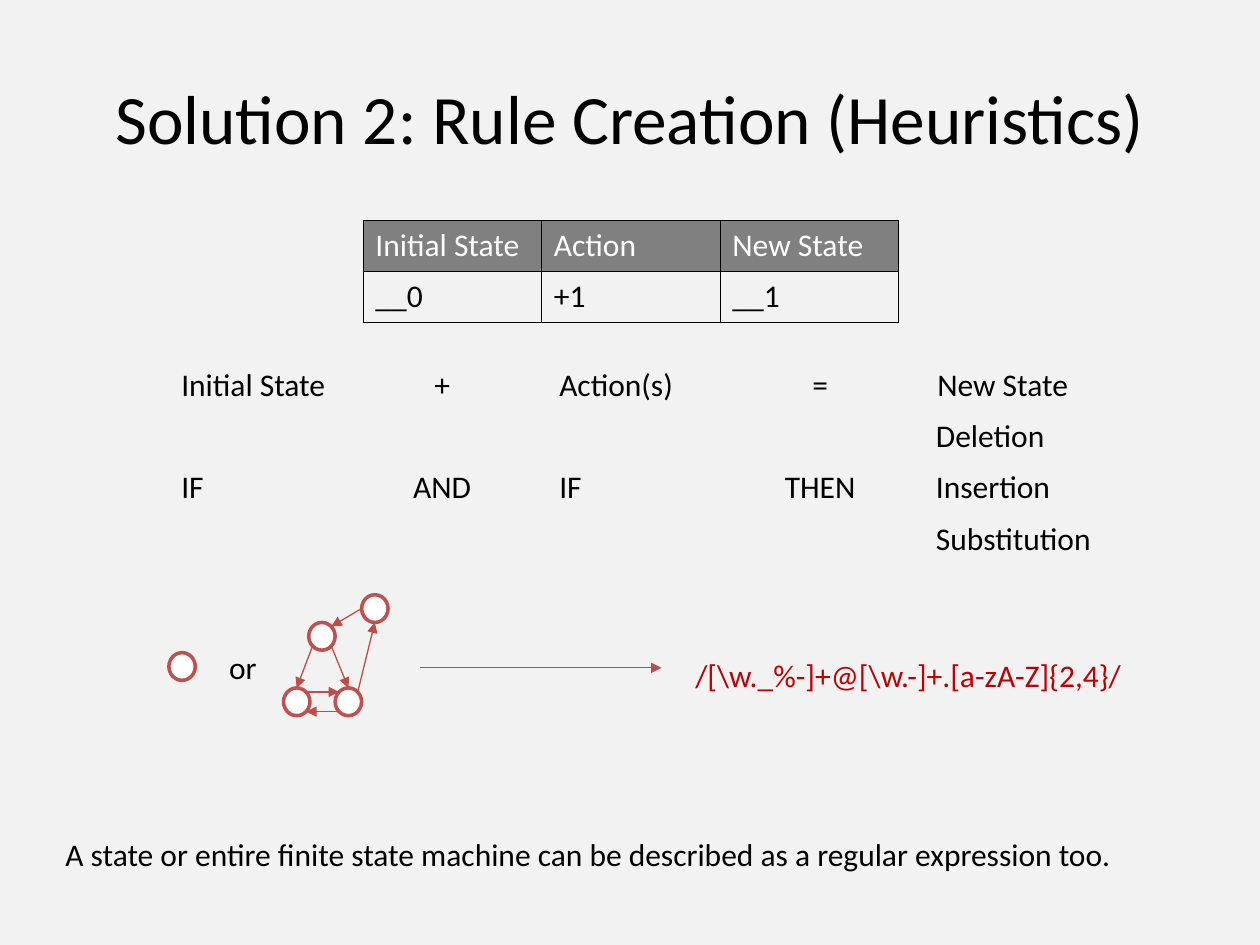
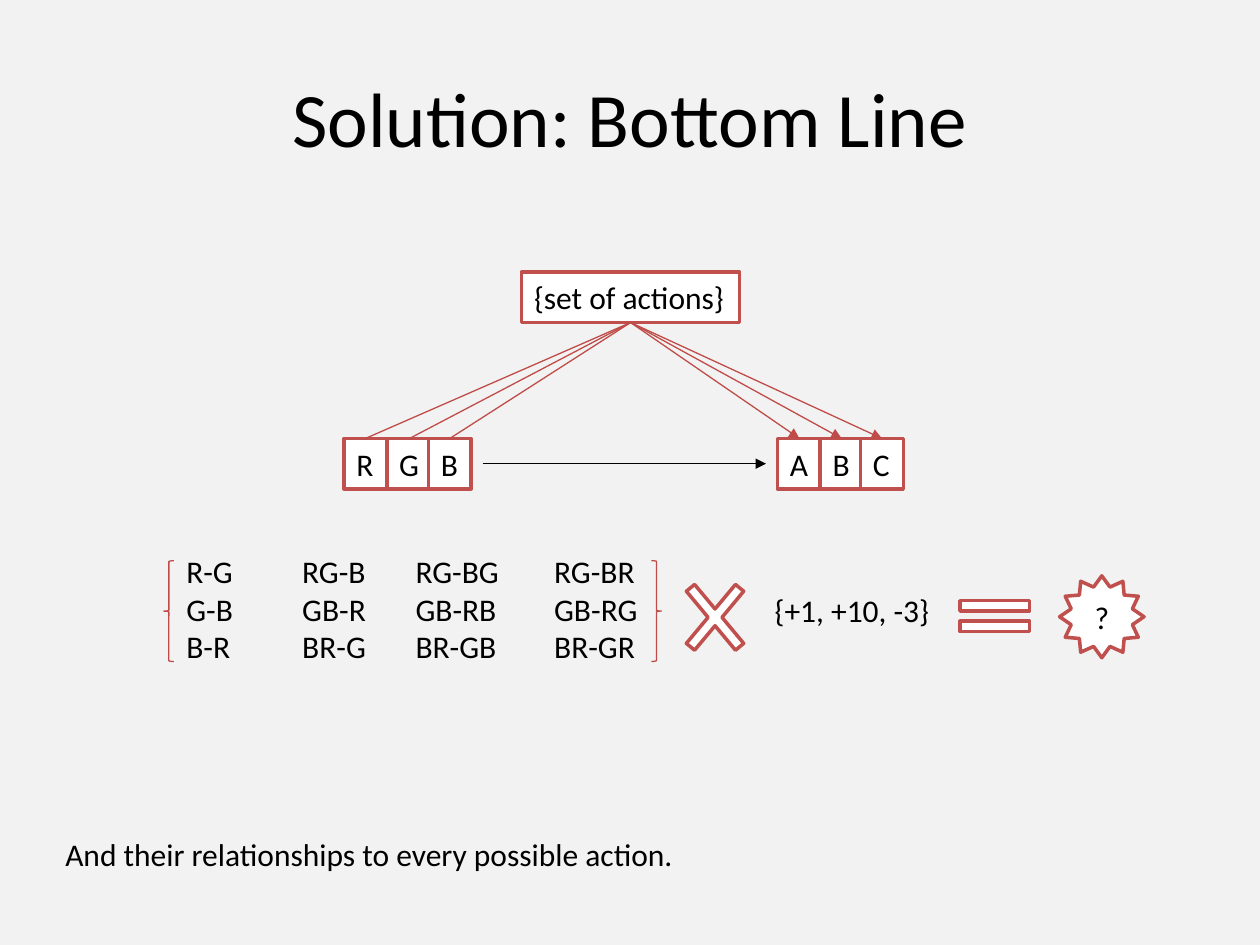
import dataclasses

import pptx
import pptx.dml.color
import pptx.enum.shapes
import pptx.enum.text
import pptx.oxml.ns
import pptx.util
from lxml import etree

Inches = pptx.util.Inches
Pt = pptx.util.Pt
Shape = pptx.enum.shapes.MSO_SHAPE
Anchor = pptx.enum.text.MSO_ANCHOR
Align = pptx.enum.text.PP_ALIGN
AutoSize = pptx.enum.text.MSO_AUTO_SIZE

TOP, BOTTOM = 0, 2  # connection sites of a rectangle
ROW_HEIGHT = 0.4


def rgb(value):
    return pptx.dml.color.RGBColor.from_string(value)


def add_xml(parent, tag, **attributes):
    return etree.SubElement(parent, pptx.oxml.ns.qn(tag), **attributes)


@dataclasses.dataclass(frozen=True)
class Theme:
    font: str = "Calibri"
    background: str = "F2F2F2"
    ink: str = "000000"
    paper: str = "FFFFFF"
    header: str = "808080"
    outline: str = "C0504D"
    link: str = "BF4C48"
    pattern: str = "C00000"
    title_size: float = 44
    long_title_size: float = 39.6
    body_size: float = 18
    outline_width: float = 2
    link_width: float = 0.75
    grid_width: float = 0.25


class Deck:
    """Holds the style and the current slide."""

    def __init__(self, theme):
        self.theme = theme
        self.presentation = pptx.Presentation()
        self.presentation.slide_width = Inches(10)
        self.presentation.slide_height = Inches(7.5)
        self.slide = None

    # Slide frame: background, title and closing sentence
    def start_slide(self, title, closing, title_size):
        self.slide = self.presentation.slides.add_slide(self.presentation.slide_layouts[6])
        fill = self.slide.background.fill
        fill.solid()
        fill.fore_color.rgb = rgb(self.theme.background)
        self.text(title, 0.5, 0.3, 9, 1.25, size=title_size, centred=True, wrap=True)
        self.text(closing, 0.42, 6.58, 9.17, wrap=True)

    def fill_frame(self, frame, content, size=None, colour=None, centred=False, wrap=False):
        formats = {
            "word_wrap": wrap,
            "auto_size": AutoSize.NONE if centred else AutoSize.SHAPE_TO_FIT_TEXT,
            "vertical_anchor": Anchor.MIDDLE if centred else Anchor.TOP,
        }
        for name, value in formats.items():
            setattr(frame, name, value)
        self.style_text(frame, content, size, colour, Align.CENTER if centred else Align.LEFT)

    def style_text(self, frame, content, size=None, colour=None, alignment=Align.LEFT):
        frame.text = content
        formats = {"name": self.theme.font, "size": Pt(size or self.theme.body_size)}
        for paragraph in frame.paragraphs:
            paragraph.alignment = alignment
            font = paragraph.runs[0].font
            for name, value in formats.items():
                setattr(font, name, value)
            font.color.rgb = rgb(colour or self.theme.ink)

    def text(self, content, left, top, width, height=ROW_HEIGHT, **style):
        box = self.slide.shapes.add_textbox(
            Inches(left), Inches(top), Inches(width), Inches(height))
        self.fill_frame(box.text_frame, content, **style)
        return box

    def tabbed_text(self, content, left, top, width, stops):
        box = self.text(content, left, top, width, wrap=True)
        properties = box.text_frame.paragraphs[0]._p.get_or_add_pPr()
        tabs = add_xml(properties, "a:tabLst")
        for position, alignment in stops:
            add_xml(tabs, "a:tab", pos=str(Inches(position)), algn=alignment)

    def shape(self, kind, left, top, width, height, content=None, adjustments=(),
              rotation=0, centred=False):
        figure = self.slide.shapes.add_shape(
            kind, Inches(left), Inches(top), Inches(width), Inches(height))
        figure.shadow.inherit = False
        figure.rotation = rotation
        for index, value in enumerate(adjustments):
            figure.adjustments[index] = value
        figure.fill.solid()
        figure.fill.fore_color.rgb = rgb(self.theme.paper)
        figure.line.color.rgb = rgb(self.theme.outline)
        figure.line.width = Pt(self.theme.outline_width)
        if content:
            self.fill_frame(figure.text_frame, content, centred=centred)
        return figure

    def brace(self, left, rotation=0):
        figure = self.shape(Shape.RIGHT_BRACE, left, 4.45, 0.08, 0.8, rotation=rotation)
        figure.fill.background()
        figure.line.color.rgb = rgb(self.theme.link)
        figure.line.width = Pt(self.theme.link_width)

    def state(self, left, top):
        """Draws a state circle and returns its centre and its two radii."""
        width, height = 0.21, 0.22
        self.shape(Shape.FLOWCHART_CONNECTOR, left, top, width, height)
        return left + width / 2, top + height / 2, width / 2, height / 2

    def line(self, start=(0, 0), end=(0, 0), colour=None, arrow=True):
        connector = self.slide.shapes.add_connector(
            pptx.enum.shapes.MSO_CONNECTOR.STRAIGHT,
            *(Inches(length) for length in (*start, *end)))
        connector.line.color.rgb = rgb(colour or self.theme.link)
        connector.line.width = Pt(self.theme.link_width)
        if arrow:
            add_xml(connector.line._get_or_add_ln(), "a:tailEnd", type="triangle")
        add_xml(connector._element.spPr, "a:effectLst")
        return connector

    def join(self, source, source_site, target, target_site, arrow=True):
        connector = self.line(arrow=arrow)
        connector.begin_connect(source, source_site)
        connector.end_connect(target, target_site)

    def table(self, rows, left, top, width, height):
        grid = self.slide.shapes.add_table(
            len(rows), len(rows[0]), Inches(left), Inches(top),
            Inches(width), Inches(height)).table
        grid.first_row = grid.horz_banding = False
        for row_index, row in enumerate(rows):
            for column_index, content in enumerate(row):
                cell = grid.cell(row_index, column_index)
                self.cell_borders(cell)
                if row_index == 0:
                    cell.fill.solid()
                    cell.fill.fore_color.rgb = rgb(self.theme.header)
                else:
                    cell.fill.background()
                self.style_text(cell.text_frame, content,
                                colour=self.theme.ink if row_index else self.theme.paper)

    def cell_borders(self, cell):
        properties = cell._tc.get_or_add_tcPr()
        for side in ("L", "R", "T", "B"):
            border = add_xml(properties, f"a:ln{side}", w=str(Pt(self.theme.grid_width)))
            add_xml(add_xml(border, "a:solidFill"), "a:srgbClr", val=self.theme.ink)


def site(state, across, down):
    """Point on a state circle in the direction given by -1, 0 or 1 each way."""
    x, y, reach_x, reach_y = state
    scale = 0.71 if across and down else 1
    return x + across * scale * reach_x, y + down * scale * reach_y


def rule_creation(deck):
    deck.start_slide(
        "Solution 2: Rule Creation (Heuristics)",
        "A state or entire finite state machine can be described as a regular expression too.",
        deck.theme.long_title_size)

    # Rule table
    deck.table([["Initial State", "Action", "New State"], ["__0", "+1", "__1"]],
               2.88, 1.75, 4.25, 0.81)

    # Rule in words
    rule_stops = [(2.07, "ctr"), (3, "l"), (5.07, "ctr"), (6, "l")]
    deck.tabbed_text("Initial State\t+\tAction(s)\t=\tNew State", 1.34, 2.85, 7.31, rule_stops)
    deck.tabbed_text("IF\tAND\tIF\tTHEN", 1.34, 3.66, 5.62, rule_stops)
    outcomes = [("Deletion", 1.08), ("Insertion", 1.12), ("Substitution", 1.45)]
    for index, (outcome, width) in enumerate(outcomes):
        deck.text(outcome, 7.33, 3.25 + 0.41 * index, width)

    # Single state or state machine
    deck.state(1.34, 5.18)
    deck.text("or", 1.72, 5.09, 0.45, wrap=True)
    entry = deck.state(2.87, 4.72)
    branch = deck.state(2.45, 4.94)
    left_end = deck.state(2.25, 5.46)
    right_end = deck.state(2.66, 5.46)
    transitions = [
        (entry, (-1, 0), branch, (1, -1)),
        (branch, (-1, 1), left_end, (0, -1)),
        (branch, (1, 1), right_end, (0, -1)),
        (left_end, (1, -1), right_end, (-1, -1)),
        (right_end, (-1, 1), left_end, (1, 1)),
        (right_end, (1, -1), entry, (0, 1)),
    ]
    for source, leaving, target, arriving in transitions:
        deck.line(site(source, *leaving), site(target, *arriving))

    # Regular expression
    deck.line((3.33, 5.3), (5.25, 5.3))
    deck.text(r"/[\w._%-]+@[\w.-]+.[a-zA-Z]{2,4}/", 5.42, 5.16, 3.63,
              colour=deck.theme.pattern)


def bottom_line(deck):
    deck.start_slide("Solution: Bottom Line",
                     "And their relationships to every possible action.",
                     deck.theme.title_size)

    # Actions lead from the initial states to the new states
    initial = [("R", 2.73, 0.34), ("G", 3.07, 0.36), ("B", 3.4, 0.34)]
    new = [("A", 6.17, 0.35), ("B", 6.51, 0.34), ("C", 6.83, 0.34)]
    initial_boxes, new_boxes = (
        [deck.shape(Shape.RECTANGLE, left, 3.48, width, ROW_HEIGHT, letter)
         for letter, left, width in letters]
        for letters in (initial, new))
    actions = deck.shape(Shape.RECTANGLE, 4.14, 2.16, 1.73, ROW_HEIGHT, "{set of actions}")
    for box in initial_boxes:
        deck.join(box, TOP, actions, BOTTOM, arrow=False)
    for box in new_boxes:
        deck.join(actions, BOTTOM, box, TOP)
    deck.line((3.83, 3.68), (6.08, 3.68), colour=deck.theme.ink)

    # State relationships
    relationships = [
        (1.38, 0.58, ["R-G", "G-B", "B-R"]),
        (2.3, 0.71, ["RG-B", "GB-R", "BR-G"]),
        (3.2, 0.87, ["RG-BG", "GB-RB", "BR-GB"]),
        (4.3, 0.87, ["RG-BR", "GB-RG", "BR-GR"]),
    ]
    for left, width, pairs in relationships:
        deck.text("\n".join(pairs), left, 4.33, width, 1.01)
    deck.brace(1.3, rotation=180)
    deck.brace(5.17)

    # Times the actions equals the unknown
    deck.shape(Shape.MATH_MULTIPLY, 5.3, 4.45, 0.75, 0.9, adjustments=[0.113])
    deck.text("{+1, +10, -3}", 6.05, 4.64, 1.44)
    deck.shape(Shape.MATH_EQUAL, 7.52, 4.6, 0.75, 0.58, adjustments=[0.141, 0.139])
    deck.shape(Shape.STAR_12_POINT, 8.41, 4.57, 0.67, 0.65, "?", centred=True)


def main():
    deck = Deck(Theme())
    rule_creation(deck)
    bottom_line(deck)
    deck.presentation.save("out.pptx")


if __name__ == "__main__":
    main()
